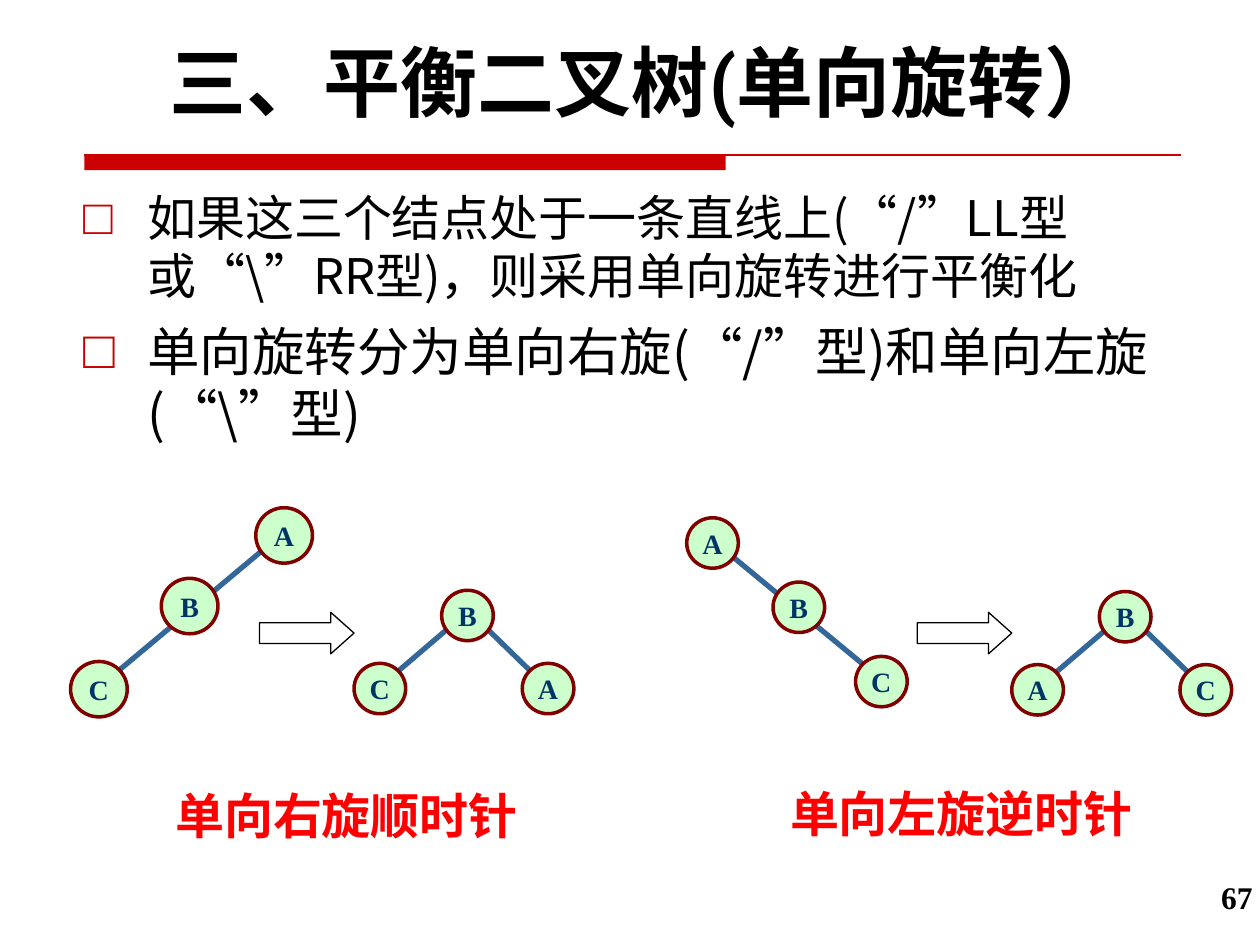
from dataclasses import dataclass
from itertools import groupby

from lxml import etree
from pptx import Presentation
from pptx.dml.color import RGBColor
from pptx.enum.shapes import MSO_CONNECTOR, MSO_SHAPE
from pptx.enum.text import MSO_ANCHOR, MSO_AUTO_SIZE, PP_ALIGN
from pptx.oxml.ns import qn
from pptx.util import Inches, Pt

LEFT, CENTER, RIGHT = PP_ALIGN.LEFT, PP_ALIGN.CENTER, PP_ALIGN.RIGHT
TOP, MIDDLE = MSO_ANCHOR.TOP, MSO_ANCHOR.MIDDLE
STRAIGHT = MSO_CONNECTOR.STRAIGHT
OVAL, BAR, ARROW = MSO_SHAPE.OVAL, MSO_SHAPE.RECTANGLE, MSO_SHAPE.RIGHT_ARROW

COLORS = {"text": "000000", "accent": "CC0000", "caption": "FF0000",
          "node": "CCFFCC", "ring": "800000", "label": "003366", "edge": "336699"}
HAN, LATIN, SERIF = "Noto Sans CJK SC", "Roboto", "Times New Roman"

# The page is a grid of 100 columns by 75 rows.
COLUMNS, ROWS = 100, 75
CELL = Inches(0.1)


@dataclass
class Tree:
    nodes: dict[str, tuple[float, float]]  # label: centre column and row
    edges: list[str]                       # upper label, lower label
    size: float


@dataclass
class Rotation:
    before: Tree
    after: Tree
    arrow_left: float
    caption: str
    caption_at: tuple[float, float]


def balanced(left_label: str, right_label: str, left: float, top: float) -> Tree:
    """Three-node tree with B as its root, centred below (left, top)."""
    nodes = {"B": (left + 9, top), left_label: (left + 2.05, top + 5.8),
             right_label: (left + 15.4, top + 5.8)}
    return Tree(nodes, ["B" + left_label, "B" + right_label], 4.1)


ROTATIONS = [
    Rotation(Tree({"A": (22.55, 42.5), "B": (15.05, 48.1), "C": (7.85, 54.7)}, ["AC"], 4.5),
             balanced("C", "A", 28.1, 48.85), 20.6, "单向右旋顺时针", (12.5, 61.8)),
    Rotation(Tree({"A": (56.55, 43.1), "B": (63.4, 48.2), "C": (69.95, 54.1)}, ["AC"], 4.1),
             balanced("A", "C", 80.3, 48.95), 72.8, "单向左旋逆时针", (61.3, 61.7)),
]
POINTS = [
    ("如果这三个结点处于一条直线上(“/”LL型或“\\”RR型)，则采用单向旋转进行平衡化", 28, 33, 0),
    ("单向旋转分为单向右旋(“/”型)和单向左旋(“\\”型)", 30, 35.4, 9),
]


def cells(*lengths: float) -> list[int]:
    return [round(length * CELL) for length in lengths]


def rgb(name: str) -> RGBColor:
    return RGBColor.from_string(COLORS[name])


def add_text(para, text: str, *, size: float, font: str = HAN, color: str = "text",
             bold: bool = False, align=LEFT) -> None:
    para.alignment = align
    span = para.add_run()
    span.text = text
    span.font.name, span.font.size, span.font.bold = font, Pt(size), bold
    span.font.color.rgb = rgb(color)
    east_asian = etree.SubElement(span.font._element, qn("a:ea"))
    east_asian.set("typeface", HAN)


def set_frame(box, anchor=MIDDLE, wrap: bool = True):
    frame = box.text_frame
    frame.auto_size = MSO_AUTO_SIZE.NONE
    frame.word_wrap, frame.vertical_anchor = wrap, anchor
    return frame


def place(box, left: float, top: float, width: float, height: float) -> None:
    box.left, box.top, box.width, box.height = cells(left, top, width, height)


def add_box(page, area: tuple[float, ...], text: str, **text_format) -> None:
    box = page.shapes.add_textbox(*cells(*area))
    add_text(set_frame(box).paragraphs[0], text, **text_format)


def add_form(shapes, kind, area: tuple[float, ...], fill: str | None = None,
             line: str | None = None, weight: float = 0.75):
    form = shapes.add_shape(kind, *cells(*area))
    form.shadow.inherit = False
    for part, color in ((form.fill, fill), (form.line.fill, line)):
        if color:
            part.solid()
            part.fore_color.rgb = rgb(color)
        else:
            part.background()
    if line:
        form.line.width = Pt(weight)
    return form


def add_line(shapes, start: tuple[float, float], end: tuple[float, float],
             color: str, weight: float) -> None:
    line = shapes.add_connector(STRAIGHT, *cells(*start, *end))
    line.line.color.rgb, line.line.width = rgb(color), Pt(weight)
    etree.SubElement(line._element.spPr, qn("a:effectLst"))


def add_tree(page, tree: Tree) -> None:
    shapes = page.shapes.add_group_shape().shapes
    for upper, lower in tree.edges:
        (x1, y1), (x2, y2) = tree.nodes[upper], tree.nodes[lower]
        side = 1 if x2 > x1 else -1
        add_line(shapes, (x1 + 1.5 * side, y1 + 1), (x2 - side, y2 - 1), "edge", 3)
    for label, (x, y) in tree.nodes.items():
        area = (x - tree.size / 2, y - tree.size / 2 + 0.05, tree.size, tree.size - 0.1)
        node = add_form(shapes, OVAL, area, "node", "ring", 2)
        add_text(set_frame(node, wrap=False).paragraphs[0], label, size=16,
                 font=SERIF, color="label", bold=True, align=CENTER)


def add_rotation(page, rotation: Rotation) -> None:
    add_tree(page, rotation.before)
    add_tree(page, rotation.after)
    arrow = add_form(page.shapes, ARROW, (rotation.arrow_left, 48.6, 7.5, 3.3), line="text")
    arrow.adjustments[0], arrow.adjustments[1] = 0.5, 0.56
    add_box(page, (*rotation.caption_at, 30, 5.7), rotation.caption, size=28,
            color="caption", bold=True, align=CENTER)


def set_bullet(para) -> None:
    properties = para._p.get_or_add_pPr()
    indent = Inches(0.51)
    properties.set("marL", str(indent))
    properties.set("indent", str(-indent))
    color = etree.SubElement(properties, qn("a:buClr"))
    etree.SubElement(color, qn("a:srgbClr")).set("val", COLORS["accent"])
    etree.SubElement(properties, qn("a:buChar")).set("char", "□")


def fill_body(body) -> None:
    place(body, 5.6, 13.9, 95.8, 22)
    frame = set_frame(body, TOP)
    frame.margin_top = Inches(0.11)
    for index, (text, size, pitch, before) in enumerate(POINTS):
        para = frame.add_paragraph() if index else frame.paragraphs[0]
        set_bullet(para)
        para.line_spacing, para.space_before = Pt(pitch), Pt(before)
        for quoted, letters in groupby(text, lambda letter: letter in "“”"):
            add_text(para, "".join(letters), size=size, font=SERIF if quoted else HAN)


def main() -> None:
    deck = Presentation()
    deck.slide_width, deck.slide_height = cells(COLUMNS, ROWS)
    page = deck.slides.add_slide(deck.slide_layouts[1])
    title, body = page.placeholders

    add_form(page.shapes, BAR, (6.7, 12.3, 50.9, 1.2), "accent")
    add_line(page.shapes, (6.7, 12.3), (93.7, 12.3), "accent", 0.75)
    place(title, 5, 2.2, 92.5, 8.4)
    add_text(set_frame(title).paragraphs[0], "三、平衡二叉树(单向旋转）", size=44,
             font=LATIN, bold=True, align=CENTER)
    fill_body(body)
    for rotation in ROTATIONS:
        add_rotation(page, rotation)
    add_box(page, (93.7, 69.2, 6.7, 4), "67", size=18, font=SERIF, bold=True, align=RIGHT)
    deck.save("out.pptx")


if __name__ == "__main__":
    main()
